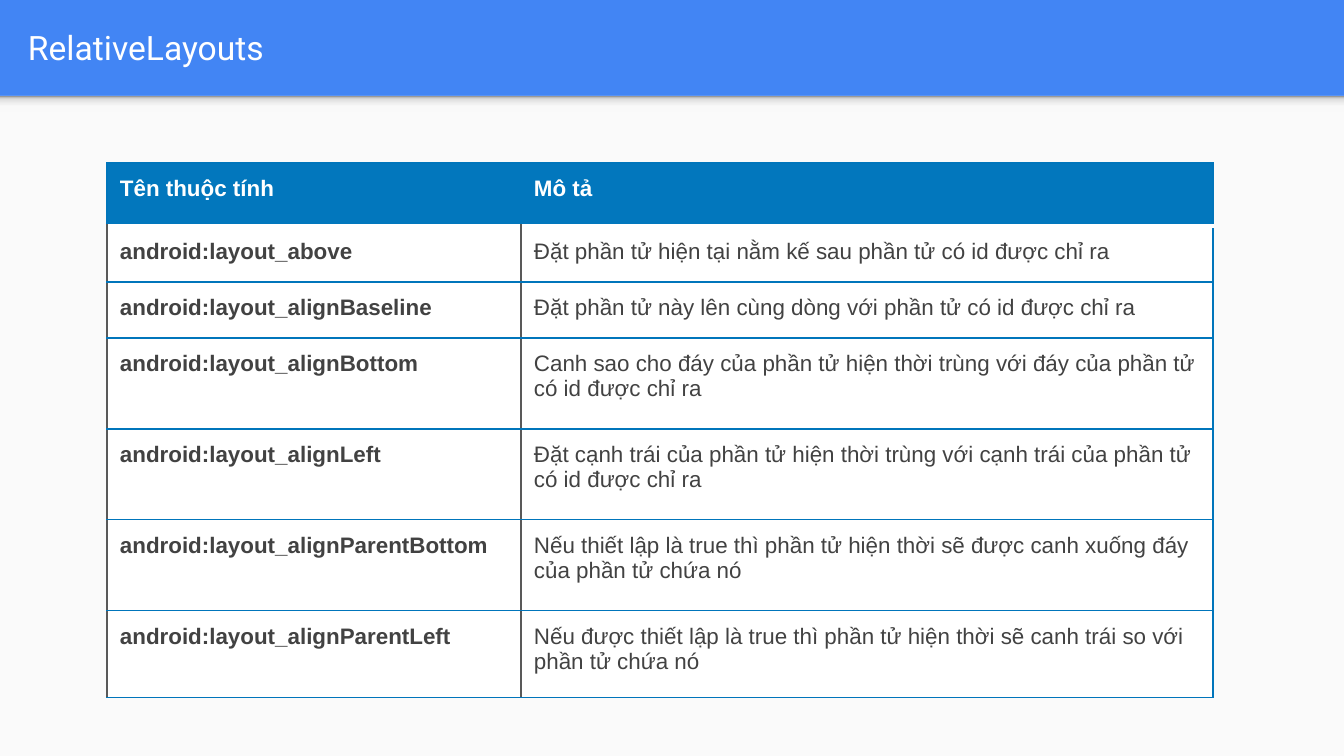
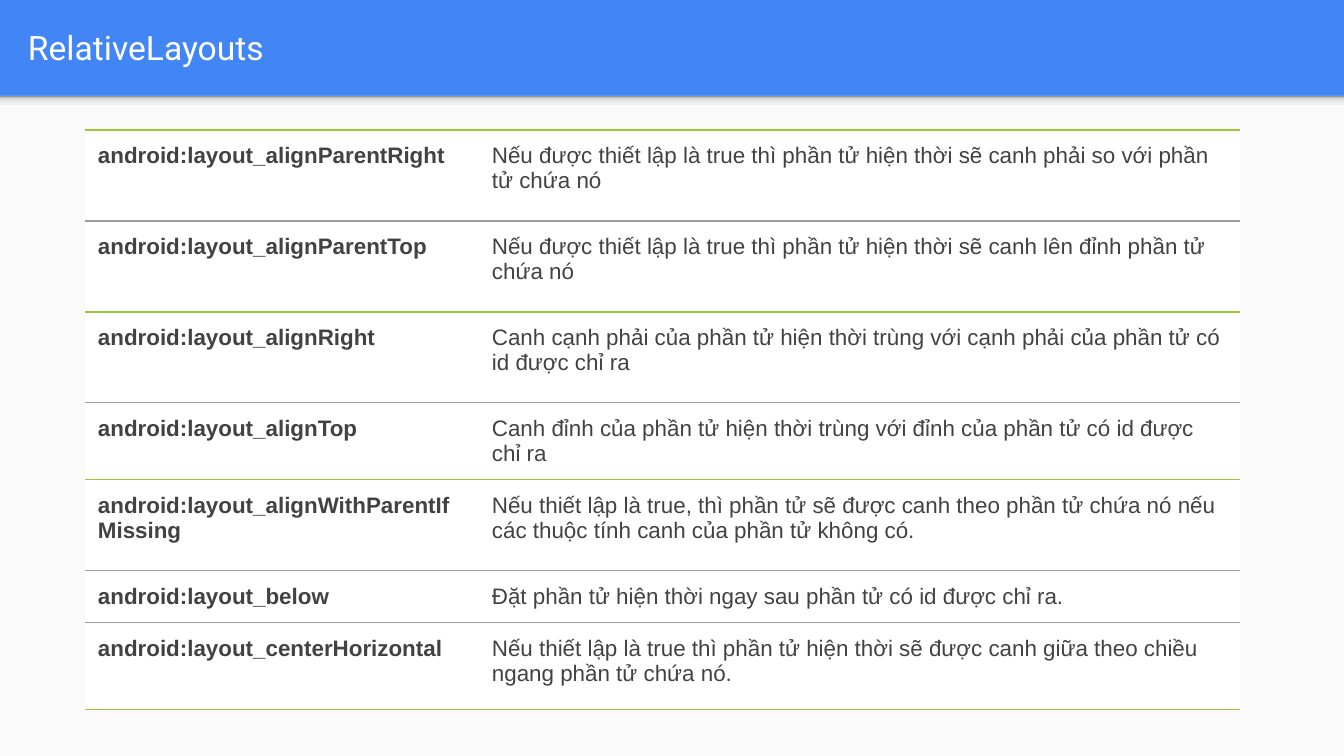
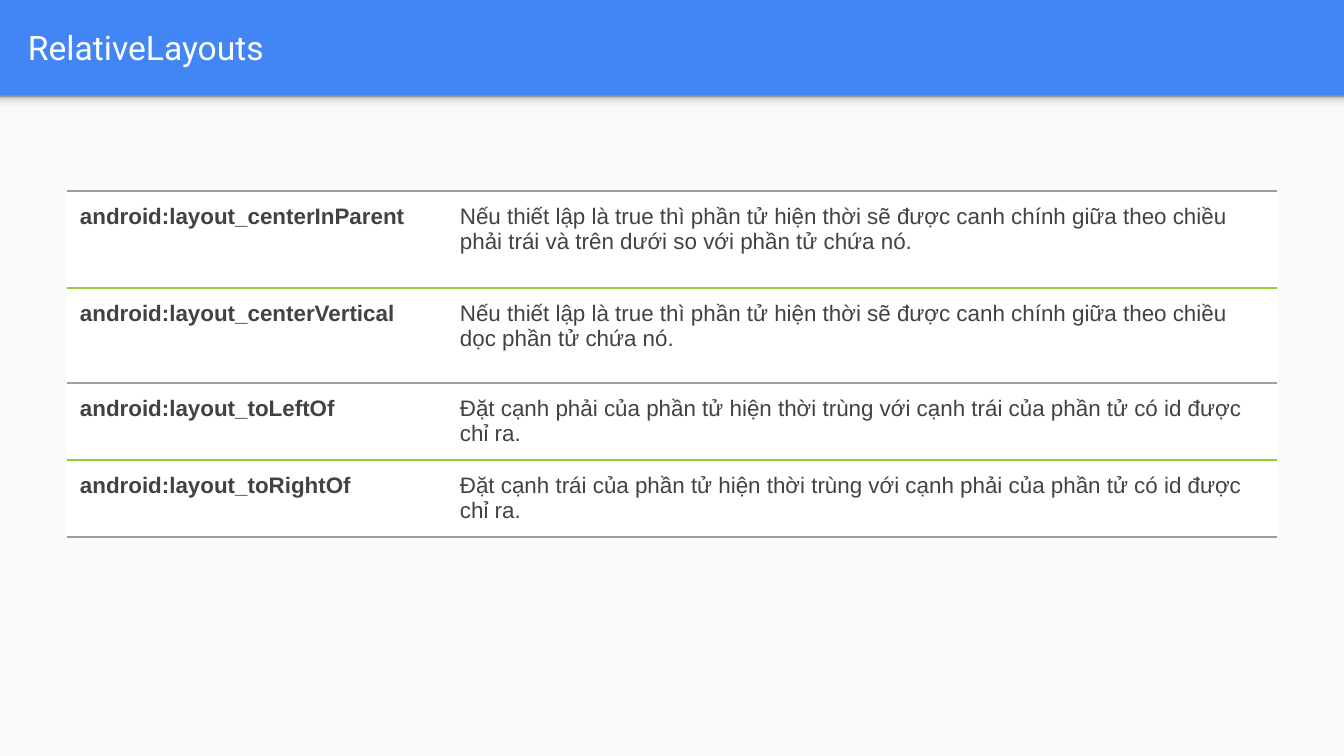
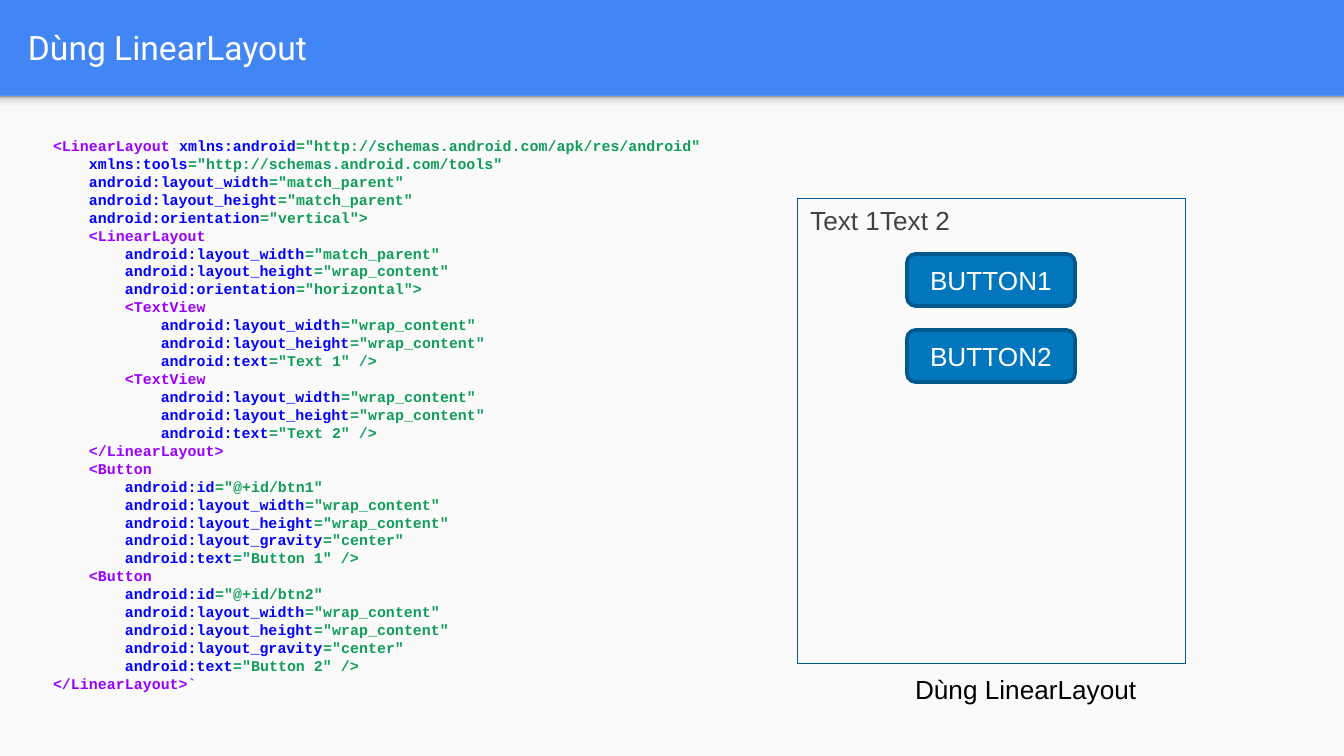
from lxml.etree import SubElement
from pptx import Presentation
from pptx.dml.color import RGBColor
from pptx.enum.shapes import MSO_SHAPE
from pptx.enum.text import MSO_ANCHOR, PP_ALIGN
from pptx.oxml.ns import qn
from pptx.util import Pt

PX = 9144000 / 1344
WIDTH, HEIGHT, BAND, INSET = 1344, 756, 96, 13

BLUE, PANEL, WHITE, BLACK = "4285F4", "FAFAFA", "FFFFFF", "000000"
HEADER, BORDER, DARK, TEXT = "0277BD", "0075BB", "01588C", "424242"
GREEN, GREY, SLATE = "99CB38", "9E9E9E", "595959"
TAG, NAME, VALUE = "9900FF", "0000FF", "0F9D58"
SHADOW_STOPS = [(0, "F9F9F9"), (36, "F9F9F9"), (80, "DEDEDE"), (100, "999999")]

TABLES = [
    {
        "title": "RelativeLayouts",
        "corner": (107, 163),
        "columns": (414, 692),
        "heights": (63, 56, 56, 91, 91, 91, 87),
        "header": True,
        "rules": [BORDER, WHITE] + [BORDER] * 6,
        "sides": (SLATE, SLATE, BORDER),
        "rows": [
            ("Tên thuộc tính", "Mô tả"),
            ("android:layout_above",
             "Đặt phần tử hiện tại nằm kế sau phần tử có id được chỉ ra"),
            ("android:layout_alignBaseline",
             "Đặt phần tử này lên cùng dòng với phần tử có id được chỉ ra"),
            ("android:layout_alignBottom",
             "Canh sao cho đáy của phần tử hiện thời trùng với đáy của phần tử có id được chỉ ra"),
            ("android:layout_alignLeft",
             "Đặt cạnh trái của phần tử hiện thời trùng với cạnh trái của phần tử có id được chỉ ra"),
            ("android:layout_alignParentBottom",
             "Nếu thiết lập là true thì phần tử hiện thời sẽ được canh xuống đáy của phần tử chứa nó"),
            ("android:layout_alignParentLeft",
             "Nếu được thiết lập là true thì phần tử hiện thời sẽ canh trái so với phần tử chứa nó"),
        ],
    },
    {
        "title": "RelativeLayouts",
        "corner": (85, 130),
        "columns": (394, 761),
        "heights": (91, 91, 91, 77, 91, 52, 87),
        "header": False,
        "rules": [GREEN, GREY, GREEN, GREY, GREEN, GREY, GREY, GREEN],
        "sides": (None, None, None),
        "rows": [
            ("android:layout_alignParentRight",
             "Nếu được thiết lập là true thì phần tử hiện thời sẽ canh phải so với phần tử chứa nó"),
            ("android:layout_alignParentTop",
             "Nếu được thiết lập là true thì phần tử hiện thời sẽ canh lên đỉnh phần tử chứa nó"),
            ("android:layout_alignRight",
             "Canh cạnh phải của phần tử hiện thời trùng với cạnh phải của phần tử có id được chỉ ra"),
            ("android:layout_alignTop",
             "Canh đỉnh của phần tử hiện thời trùng với đỉnh của phần tử có id được chỉ ra"),
            ("android:layout_alignWithParentIfMissing",
             "Nếu thiết lập là true, thì phần tử sẽ được canh theo phần tử chứa nó nếu các thuộc tính "
             "canh của phần tử không có."),
            ("android:layout_below",
             "Đặt phần tử hiện thời ngay sau phần tử có id được chỉ ra."),
            ("android:layout_centerHorizontal",
             "Nếu thiết lập là true thì phần tử hiện thời sẽ được canh giữa theo chiều ngang phần tử chứa nó."),
        ],
    },
    {
        "title": "RelativeLayouts",
        "corner": (67, 191),
        "columns": (380, 830),
        "heights": (97, 95, 77, 77),
        "header": False,
        "rules": [GREY, GREEN, GREY, GREEN, GREY],
        "sides": (None, None, None),
        "rows": [
            ("android:layout_centerInParent",
             "Nếu thiết lập là true thì phần tử hiện thời sẽ được canh chính giữa theo chiều phải trái "
             "và trên dưới so với phần tử chứa nó."),
            ("android:layout_centerVertical",
             "Nếu thiết lập là true thì phần tử hiện thời sẽ được canh chính giữa theo chiều dọc phần tử chứa nó."),
            ("android:layout_toLeftOf",
             "Đặt cạnh phải của phần tử hiện thời trùng với cạnh trái của phần tử có id được chỉ ra."),
            ("android:layout_toRightOf",
             "Đặt cạnh trái của phần tử hiện thời trùng với cạnh phải của phần tử có id được chỉ ra."),
        ],
    },
]

LINEAR_TITLE = "Dùng LinearLayout"
FRAME_TEXT = "Text 1Text 2"
BUTTONS = ["BUTTON1", "BUTTON2"]
CODE = [
    '<LinearLayout xmlns:android="http://schemas.android.com/apk/res/android"',
    '    xmlns:tools="http://schemas.android.com/tools"',
    '    android:layout_width="match_parent"',
    '    android:layout_height="match_parent"',
    '    android:orientation="vertical">',
    '    <LinearLayout',
    '        android:layout_width="match_parent"',
    '        android:layout_height="wrap_content"',
    '        android:orientation="horizontal">',
    '        <TextView',
    '            android:layout_width="wrap_content"',
    '            android:layout_height="wrap_content"',
    '            android:text="Text 1" />',
    '        <TextView',
    '            android:layout_width="wrap_content"',
    '            android:layout_height="wrap_content"',
    '            android:text="Text 2" />',
    '    </LinearLayout>',
    '    <Button',
    '        android:id="@+id/btn1"',
    '        android:layout_width="wrap_content"',
    '        android:layout_height="wrap_content"',
    '        android:layout_gravity="center"',
    '        android:text="Button 1" />',
    '    <Button',
    '        android:id="@+id/btn2"',
    '        android:layout_width="wrap_content"',
    '        android:layout_height="wrap_content"',
    '        android:layout_gravity="center"',
    '        android:text="Button 2" />',
    '</LinearLayout>`',
]


def px(length):
    return round(length * PX)


def color(value):
    return RGBColor.from_string(value)


def style(font, size, value, name="Arial", bold=False):
    font.size = Pt(size)
    font.name = name
    font.bold = bold
    font.color.rgb = color(value)


def write(frame, text, size, value, align=PP_ALIGN.LEFT, **options):
    frame.text = text
    para = frame.paragraphs[0]
    para.alignment = align
    style(para.runs[0].font, size, value, **options)


def set_insets(frame, top=INSET, bottom=INSET):
    frame.word_wrap = True
    frame.vertical_anchor = MSO_ANCHOR.MIDDLE
    frame.margin_left = frame.margin_right = px(INSET)
    frame.margin_top, frame.margin_bottom = px(top), px(bottom)


def add_shape(shapes, kind, at, fill=None, line=None, weight=1):
    shape = shapes.add_shape(kind, *map(px, at))
    shape.shadow.inherit = False
    if fill:
        shape.fill.solid()
        shape.fill.fore_color.rgb = color(fill)
    else:
        shape.fill.background()
    if line:
        shape.line.color.rgb = color(line)
        shape.line.width = Pt(weight)
    else:
        shape.line.fill.background()
    return shape


def add_stop_list(shape, stops):
    shape.fill.gradient()
    shape.fill.gradient_angle = 90
    stop_list = shape.element.spPr.find(qn("a:gradFill")).find(qn("a:gsLst"))
    for stop in list(stop_list):
        stop_list.remove(stop)
    for position, value in stops:
        stop = SubElement(stop_list, qn("a:gs"), pos=str(position * 1000))
        SubElement(stop, qn("a:srgbClr"), val=value)


def set_up_layout(layout, page):
    layout.background.fill.solid()
    layout.background.fill.fore_color.rgb = color(BLUE)
    panel = add_shape(page.shapes, MSO_SHAPE.RECTANGLE, (0, BAND, WIDTH, HEIGHT - BAND), PANEL)
    shadow = add_shape(page.shapes, MSO_SHAPE.RECTANGLE, (0, BAND, WIDTH, 16))
    add_stop_list(shadow, SHADOW_STOPS)
    for index, shape in enumerate((panel, shadow)):
        layout.shapes.element.insert(2 + index, shape.element)
    title = layout.placeholders[0]
    title.left, title.top, title.width, title.height = map(px, (15, 3, 1297, 89))
    set_insets(title.text_frame)


def set_border(cell, side, value, weight=0.75):
    line = SubElement(cell._tc.get_or_add_tcPr(), qn("a:" + side), w=str(Pt(weight)))
    if value:
        SubElement(SubElement(line, qn("a:solidFill")), qn("a:srgbClr"), val=value)
    else:
        SubElement(line, qn("a:noFill"))


def add_attribute_table(page, content):
    columns, heights, rules = content["columns"], content["heights"], content["rules"]
    at = (*content["corner"], sum(columns), sum(heights))
    table = page.shapes.add_table(len(heights), len(columns), *map(px, at)).table
    table.first_row = content["header"]
    table.horz_banding = False
    for column, width in zip(table.columns, columns):
        column.width = px(width)
    for row, (height, texts) in enumerate(zip(heights, content["rows"])):
        table.rows[row].height = px(height)
        is_header = content["header"] and row == 0
        sides = (BORDER, None, BORDER) if is_header else content["sides"]
        for column, text in enumerate(texts):
            cell = table.cell(row, column)
            edges = zip(("lnL", "lnR", "lnT", "lnB"),
                        (sides[column], sides[column + 1], rules[row], rules[row + 1]))
            for side, value in edges:
                set_border(cell, side, value, 2 if value == WHITE else 0.75)
            cell.fill.solid()
            cell.fill.fore_color.rgb = color(HEADER if is_header else WHITE)
            cell.margin_left = cell.margin_right = px(INSET)
            cell.margin_top = cell.margin_bottom = px(INSET)
            write(cell.text_frame, text, 12, WHITE if is_header else TEXT,
                  bold=is_header or column == 0)


def code_spans(line):
    body = line.lstrip()
    indent = line[:len(line) - len(body)]
    if body.startswith("<"):
        tag, space, body = body.partition(" ")
        yield indent + tag + space, TAG
        indent = ""
    name, equals, value = body.partition("=")
    if name:
        yield indent + name, NAME
        yield equals + value, VALUE


def add_code(page):
    frame = page.shapes.add_textbox(*map(px, (40, 141, 824, 579))).text_frame
    set_insets(frame, top=0, bottom=32)
    para = frame.paragraphs[0]
    para.line_spacing = Pt(9.6)
    for number, line in enumerate(CODE):
        if number:
            para.add_line_break()
        for text, value in code_spans(line):
            span = para.add_run()
            span.text = text
            style(span.font, 8, value, "Courier New", True)


def add_screen_sketch(page):
    caption = page.shapes.add_textbox(*map(px, (902, 653, 284, 102))).text_frame
    set_insets(caption, bottom=43)
    write(caption, LINEAR_TITLE, 14, BLACK)
    sketch = page.shapes.add_group_shape().shapes
    screen = add_shape(sketch, MSO_SHAPE.RECTANGLE, (797, 198, 388, 465), line=DARK, weight=0.25)
    screen.text_frame.vertical_anchor = MSO_ANCHOR.TOP
    write(screen.text_frame, FRAME_TEXT, 14, TEXT)
    for index, label in enumerate(BUTTONS):
        at = (907, 254 + 76 * index, 168, 52)
        button = add_shape(sketch, MSO_SHAPE.ROUNDED_RECTANGLE, at, HEADER, DARK, 2)
        button.text_frame.vertical_anchor = MSO_ANCHOR.MIDDLE
        write(button.text_frame, label, 14, WHITE, PP_ALIGN.CENTER)


def add_page(deck, title):
    page = deck.slides.add_slide(deck.slide_layouts[5])
    write(page.shapes.title.text_frame, title, 18, WHITE, name="Roboto")
    return page


def main():
    deck = Presentation()
    deck.slide_width, deck.slide_height = px(WIDTH), px(HEIGHT)
    for content in TABLES:
        add_attribute_table(add_page(deck, content["title"]), content)
    page = add_page(deck, LINEAR_TITLE)
    set_up_layout(deck.slide_layouts[5], page)
    add_code(page)
    add_screen_sketch(page)
    deck.save("out.pptx")


if __name__ == "__main__":
    main()
